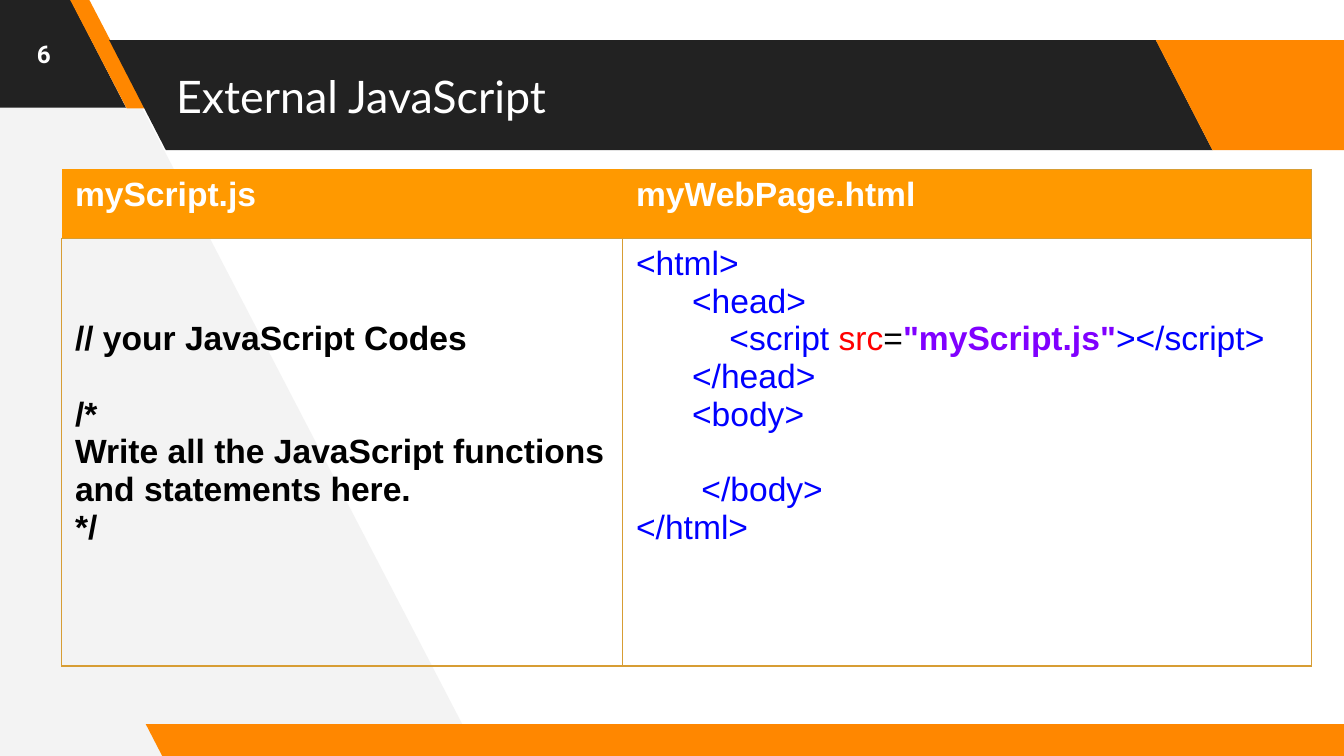
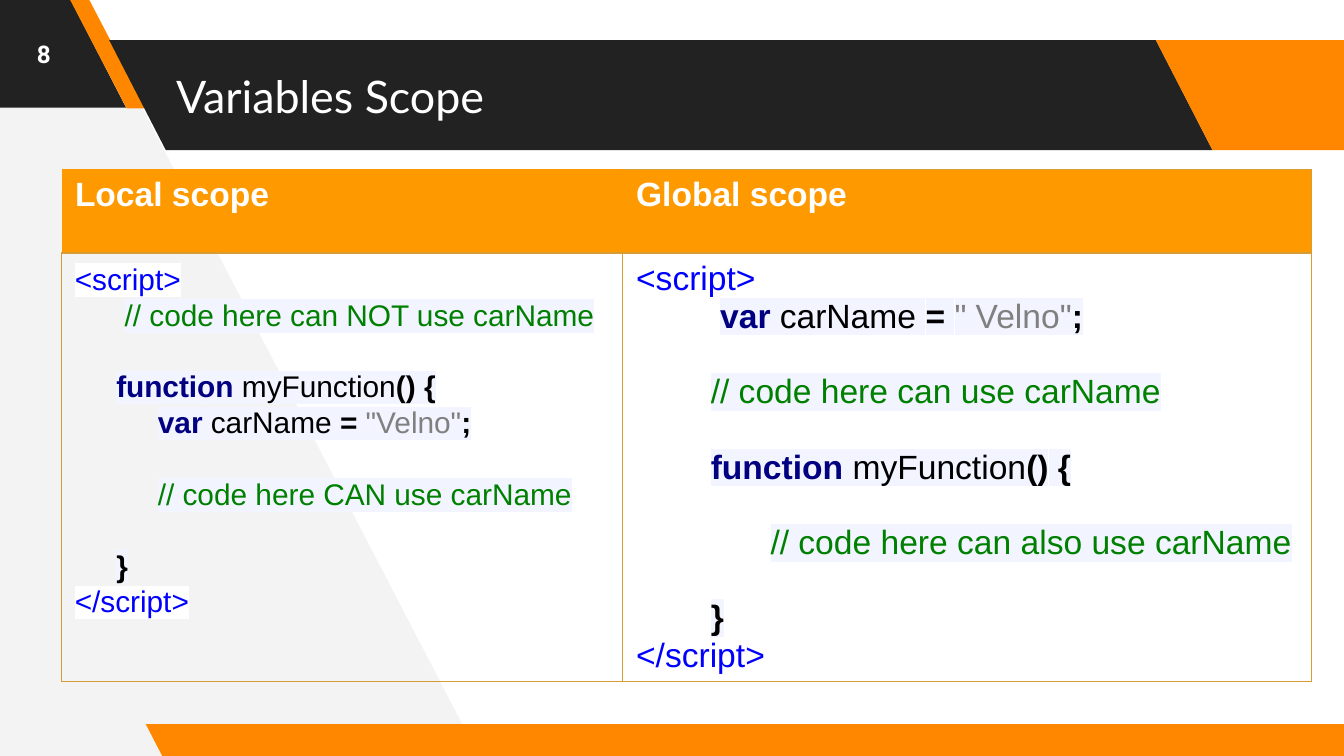
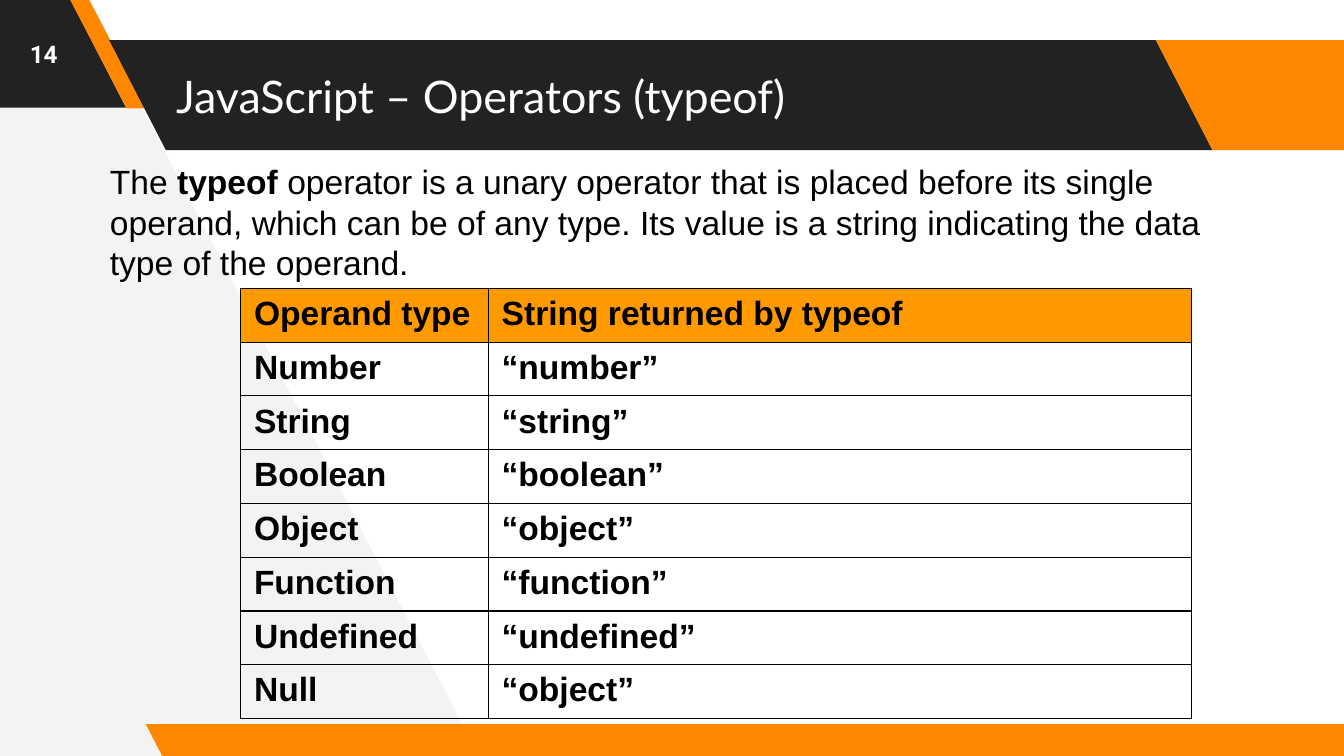
from dataclasses import dataclass
from typing import Optional, Sequence

import lxml.etree
import pptx
import pptx.dml.color
import pptx.enum.shapes
import pptx.enum.text
import pptx.oxml.ns
import pptx.slide
import pptx.table
import pptx.text.text
import pptx.util

Pt = pptx.util.Pt

COLORS = {
    "white": "FFFFFF",
    "black": "000000",
    "charcoal": "222222",
    "mist": "F3F3F3",
    "orange": "FF8700",
    "header": "FF9900",
    "gold": "D79D34",
    "blue": "0000FF",
    "red": "FF0000",
    "violet": "8000FF",
    "navy": "000080",
    "gray": "808080",
    "green": "008000",
    "pale": "F2F4FF",
}
BODY_FONT = "Arial"
CELL_LINE_HEIGHT = 1.12
BOX_LINE_HEIGHT = 1.2
CELL_INSET = 3.6


@dataclass(frozen=True)
class Style:
    color: str = "black"
    bold: bool = False


@dataclass(frozen=True)
class Line:
    runs: Sequence[tuple[str, Style]]
    indent: float = 0
    blanks_before: int = 0
    highlight: Optional[str] = None


@dataclass(frozen=True)
class Band:
    left: float
    top: float
    width: float
    height: float
    color: str
    slant: float = 0.515


PLAIN = Style()
STRONG = Style(bold=True)
HEADING = Style("white", True)
TAG = Style("blue")
ATTRIBUTE = Style("red")
VALUE = Style("violet", True)
KEYWORD = Style("navy", True)
STRING = Style("gray")
COMMENT = Style("green")

BACKDROP = [(256.3, 404.6), (44.6, -2.9), (-4.3, -2.9), (-1.4, 407.5)]
BANDS = [
    Band(-70.7, -1.4, 138.2, 59, "charcoal"),
    Band(37.2, -0.9, 41, 59, "orange", 0.75),
    Band(58.5, 21.5, 591.1, 59, "charcoal"),
    Band(619.2, 21.5, 138.2, 59, "orange"),
    Band(78.1, 387.9, 658.8, 18, "orange"),
]


def rgb(name: str) -> pptx.dml.color.RGBColor:
    return pptx.dml.color.RGBColor.from_string(COLORS[name])


def apply_style(font: pptx.text.text.Font, style: Style) -> None:
    font.bold = style.bold
    font.color.rgb = rgb(style.color)


def add_color(parent: lxml.etree._Element, tag: str, color: str) -> None:
    holder = lxml.etree.SubElement(parent, pptx.oxml.ns.qn(tag))
    lxml.etree.SubElement(holder, pptx.oxml.ns.qn("a:srgbClr"), val=COLORS[color])


def write_lines(frame: pptx.text.text.TextFrame, lines: Sequence[Line],
                size: float = 18, line_height: float = CELL_LINE_HEIGHT) -> None:
    pitch = round(size * line_height, 1)
    for index, line in enumerate(lines):
        paragraph = frame.paragraphs[0] if index == 0 else frame.add_paragraph()
        base = line.runs[0][1] if len(line.runs) == 1 else PLAIN
        paragraph.font.name = BODY_FONT
        paragraph.font.size = Pt(size)
        apply_style(paragraph.font, base)
        paragraph.line_spacing = Pt(pitch)
        paragraph.space_before = Pt(line.blanks_before * pitch)
        if line.indent:
            properties = paragraph._p.get_or_add_pPr()
            properties.set("marL", str(int(Pt(line.indent))))
            properties.set("indent", "0")
        for text, style in line.runs:
            run = paragraph.add_run()
            run.text = text
            if style != base:
                apply_style(run.font, style)
            if line.highlight:
                add_color(run._r.get_or_add_rPr(), "a:highlight", line.highlight)


def finish_shape(shape: pptx.shapes.autoshape.Shape, color: str) -> None:
    shape.shadow.inherit = False
    shape.fill.solid()
    shape.fill.fore_color.rgb = rgb(color)
    shape.line.fill.background()


def move_bands_to_layout(slide: pptx.slide.Slide) -> None:
    layout = slide.slide_layout
    for placeholder in list(layout.placeholders):
        if placeholder.placeholder_format.idx != 0:
            placeholder.element.getparent().remove(placeholder.element)
    points = [(Pt(x), Pt(y)) for x, y in BACKDROP]
    builder = slide.shapes.build_freeform(*points[0], scale=1.0)
    builder.add_line_segments(points[1:], close=True)
    shapes = [builder.convert_to_shape()]
    finish_shape(shapes[0], "mist")
    for band in BANDS:
        shape = slide.shapes.add_shape(
            pptx.enum.shapes.MSO_SHAPE.PARALLELOGRAM,
            Pt(band.left), Pt(band.top), Pt(band.width), Pt(band.height))
        shape.adjustments[0] = band.slant
        shape.element.spPr.get_or_add_xfrm().set("flipH", "1")
        finish_shape(shape, band.color)
        shapes.append(shape)
    for position, shape in enumerate(shapes, start=2):
        layout.shapes.element.insert(position, shape.element)


def add_text_box(slide: pptx.slide.Slide, left: float, top: float, width: float,
                 height: float) -> pptx.text.text.TextFrame:
    box = slide.shapes.add_textbox(Pt(left), Pt(top), Pt(width), Pt(height))
    box.text_frame.word_wrap = True
    return box.text_frame


def set_heading(frame: pptx.text.text.TextFrame, text: str, font: str, size: float,
                bold: bool, alignment: pptx.enum.text.PP_ALIGN) -> None:
    frame.text = text
    frame.word_wrap = True
    frame.auto_size = pptx.enum.text.MSO_AUTO_SIZE.NONE
    frame.vertical_anchor = pptx.enum.text.MSO_ANCHOR.MIDDLE
    frame.margin_left = frame.margin_right = Pt(7.2)
    frame.margin_top = frame.margin_bottom = Pt(7.2)
    paragraph = frame.paragraphs[0]
    paragraph.alignment = alignment
    paragraph.font.name = font
    paragraph.font.size = Pt(size)
    apply_style(paragraph.font, Style("white", bold))


def add_titled_slide(presentation: pptx.presentation.Presentation, title: str,
                     number: int) -> pptx.slide.Slide:
    slide = presentation.slides.add_slide(presentation.slide_layouts[5])
    shape = slide.shapes.title
    shape.left, shape.top, shape.width, shape.height = Pt(87.1), Pt(21.6), Pt(529.2), Pt(59)
    set_heading(shape.text_frame, title, "Lato", 24, False, pptx.enum.text.PP_ALIGN.LEFT)
    set_heading(add_text_box(slide, 0, 0, 46.8, 57.6), str(number), "Roboto", 13, True,
                pptx.enum.text.PP_ALIGN.CENTER)
    return slide


def set_borders(cell: pptx.table._Cell, color: str, sides: str = "LRTB") -> None:
    properties = cell._tc.get_or_add_tcPr()
    for position, side in enumerate("LRTB"):
        border = lxml.etree.Element(pptx.oxml.ns.qn(f"a:ln{side}"), w=str(int(Pt(0.75))))
        if side in sides:
            add_color(border, "a:solidFill", color)
        else:
            lxml.etree.SubElement(border, pptx.oxml.ns.qn("a:noFill"))
        properties.insert(position, border)


def add_table(slide: pptx.slide.Slide, left: float, top: float, widths: Sequence[float],
              heights: Sequence[float]) -> pptx.table.Table:
    frame = slide.shapes.add_table(len(heights), len(widths), Pt(left), Pt(top),
                                   Pt(sum(widths)), Pt(sum(heights)))
    table = frame.table
    table.first_row = table.horz_banding = False
    for column, width in zip(table.columns, widths):
        column.width = Pt(width)
    for index, (row, height) in enumerate(zip(table.rows, heights)):
        row.height = Pt(height)
        for cell in row.cells:
            if index == 0:
                cell.fill.solid()
                cell.fill.fore_color.rgb = rgb("header")
            else:
                cell.fill.background()
    return table


def add_code_table(slide: pptx.slide.Slide, headings: Sequence[str], header_height: float,
                   codes: Sequence[Sequence[Line]]) -> pptx.table.Table:
    table = add_table(slide, 33, 90.8, [300.6, 369], [header_height, 229.2])
    for column, (heading, code, sides) in enumerate(zip(headings, codes, ["", "RT"])):
        header, body = table.cell(0, column), table.cell(1, column)
        write_lines(header.text_frame, [Line([(heading, HEADING)])])
        write_lines(body.text_frame, code)
        set_borders(header, "gold", sides)
        set_borders(body, "gold")
    return table


def tag_line(text: str, indent: float = 0, blanks: int = 0) -> Line:
    return Line([(text, TAG)], indent, blanks, "white")


def comment_line(text: str, indent: float, blanks: int = 0) -> Line:
    return Line([(text, COMMENT)], indent, blanks, "pale")


def variable_line(value: str, indent: float) -> Line:
    return Line([("var", KEYWORD), (" carName ", PLAIN), ("=", STRONG), (" ", PLAIN),
                 (value, STRING), (";", STRONG)], indent, 0, "pale")


def function_line(indent: float) -> Line:
    return Line([("function", KEYWORD), (" myFunction", PLAIN), ("()", STRONG),
                 (" ", PLAIN), ("{", STRONG)], indent, 1, "pale")


def closing_line(indent: float) -> Line:
    return Line([("}", STRONG)], indent, 1, "pale")


def build_external_script(presentation: pptx.presentation.Presentation) -> pptx.slide.Slide:
    slide = add_titled_slide(presentation, "External JavaScript", 6)
    script_file = [
        Line([("// your JavaScript Codes", STRONG)]),
        Line([("/*", STRONG)], blanks_before=1),
        Line([("Write all the JavaScript functions and statements here.", STRONG)]),
        Line([("*/", STRONG)]),
    ]
    web_page = [
        tag_line("<html>"),
        tag_line("<head>", 30),
        Line([("<script", TAG), (" ", PLAIN), ("src", ATTRIBUTE), ("=", PLAIN),
              ('"myScript.js"', VALUE), ("></script>", TAG)], 50, 0, "white"),
        tag_line("</head>", 30),
        tag_line("<body>", 30),
        tag_line("</body>", 35, 1),
        tag_line("</html>"),
    ]
    table = add_code_table(slide, ["myScript.js", "myWebPage.html"], 36.8,
                           [script_file, web_page])
    table.cell(1, 0).margin_top = Pt(round(CELL_INSET + 2 * 18 * CELL_LINE_HEIGHT, 1))
    return slide


def build_variables_scope(presentation: pptx.presentation.Presentation) -> None:
    slide = add_titled_slide(presentation, "Variables Scope", 8)
    local_code = [
        tag_line("<script>"),
        comment_line("// code here can NOT use carName", 26.7),
        function_line(22.2),
        variable_line('"Velno"', 44.5),
        comment_line("// code here CAN use carName", 44.5, 1),
        closing_line(22.2),
        tag_line("</script>"),
    ]
    global_code = [
        tag_line("<script>"),
        variable_line('" Velno"', 45),
        comment_line("// code here can use carName", 40, 1),
        function_line(40),
        comment_line("// code here can also use carName", 72, 1),
        closing_line(40),
        tag_line("</script>"),
    ]
    add_code_table(slide, ["Local scope", "Global scope"], 44.8, [[], global_code])
    write_lines(add_text_box(slide, 33, 136.1, 298, 200.9), local_code, 16, BOX_LINE_HEIGHT)


def build_operators(presentation: pptx.presentation.Presentation) -> None:
    slide = add_titled_slide(presentation, "JavaScript – Operators (typeof)", 14)
    description = Line([
        ("The\u00a0", PLAIN),
        ("typeof", STRONG),
        ("\u00a0operator is a unary operator that is placed before its single operand, "
         "which can be of any type. Its value is a string indicating the data type of "
         "the operand.", PLAIN),
    ])
    write_lines(add_text_box(slide, 51.8, 82.8, 622, 72.7), [description],
                line_height=BOX_LINE_HEIGHT)
    types = ["Number", "String", "Boolean", "Object", "Function", "Undefined"]
    rows = [("Operand type", "String returned by typeof")]
    rows += [(name, f"“{name.lower()}”") for name in types]
    rows.append(("Null", "“object”"))
    table = add_table(slide, 128.9, 154.5, [132.7, 376.6], [28.8] * len(rows))
    for row, texts in zip(table.rows, rows):
        for cell, text in zip(row.cells, texts):
            write_lines(cell.text_frame, [Line([(text, STRONG)])])
            set_borders(cell, "black")


presentation = pptx.Presentation()
presentation.slide_width = Pt(720)
presentation.slide_height = Pt(405)
first_slide = build_external_script(presentation)
move_bands_to_layout(first_slide)
build_variables_scope(presentation)
build_operators(presentation)
presentation.save("out.pptx")
